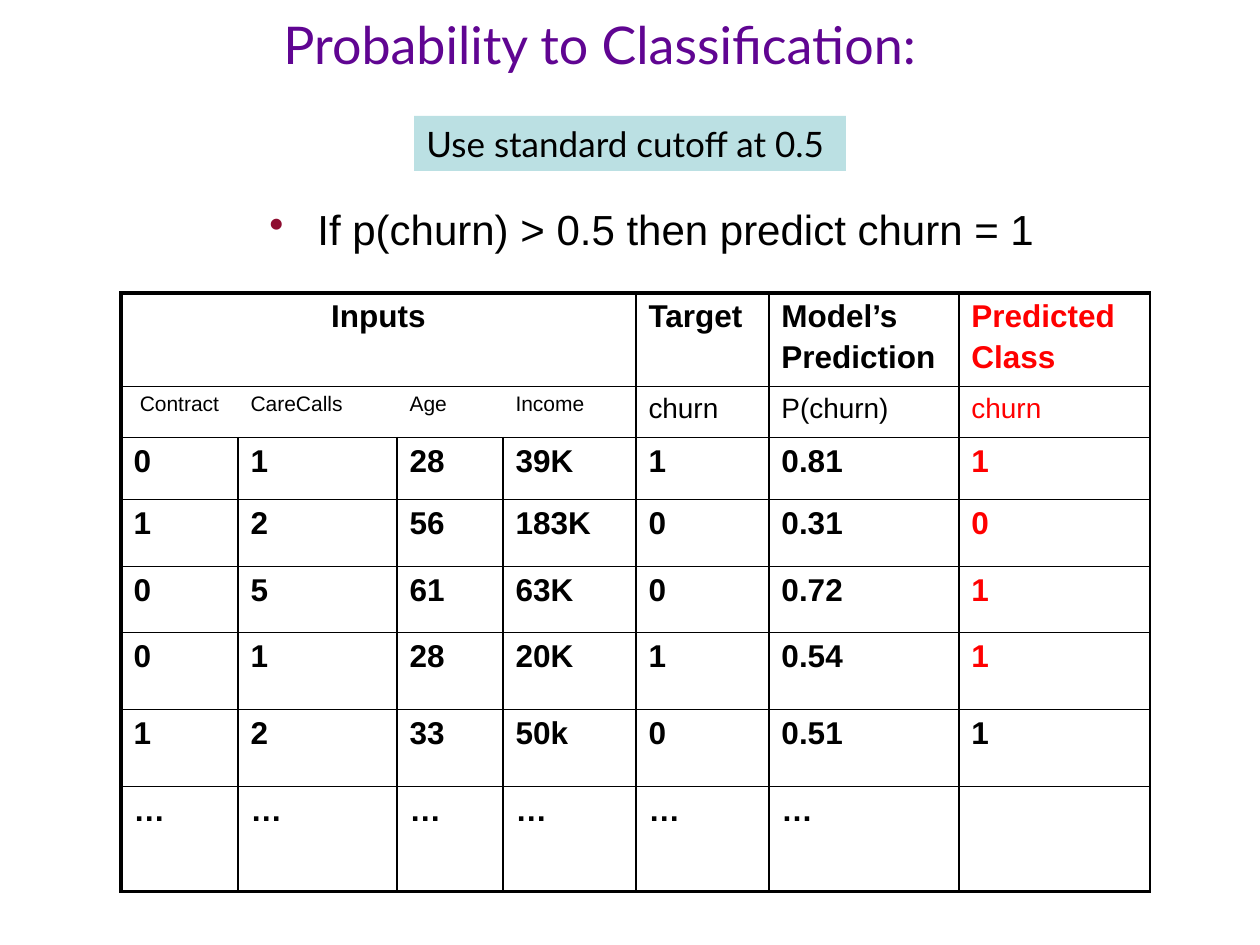
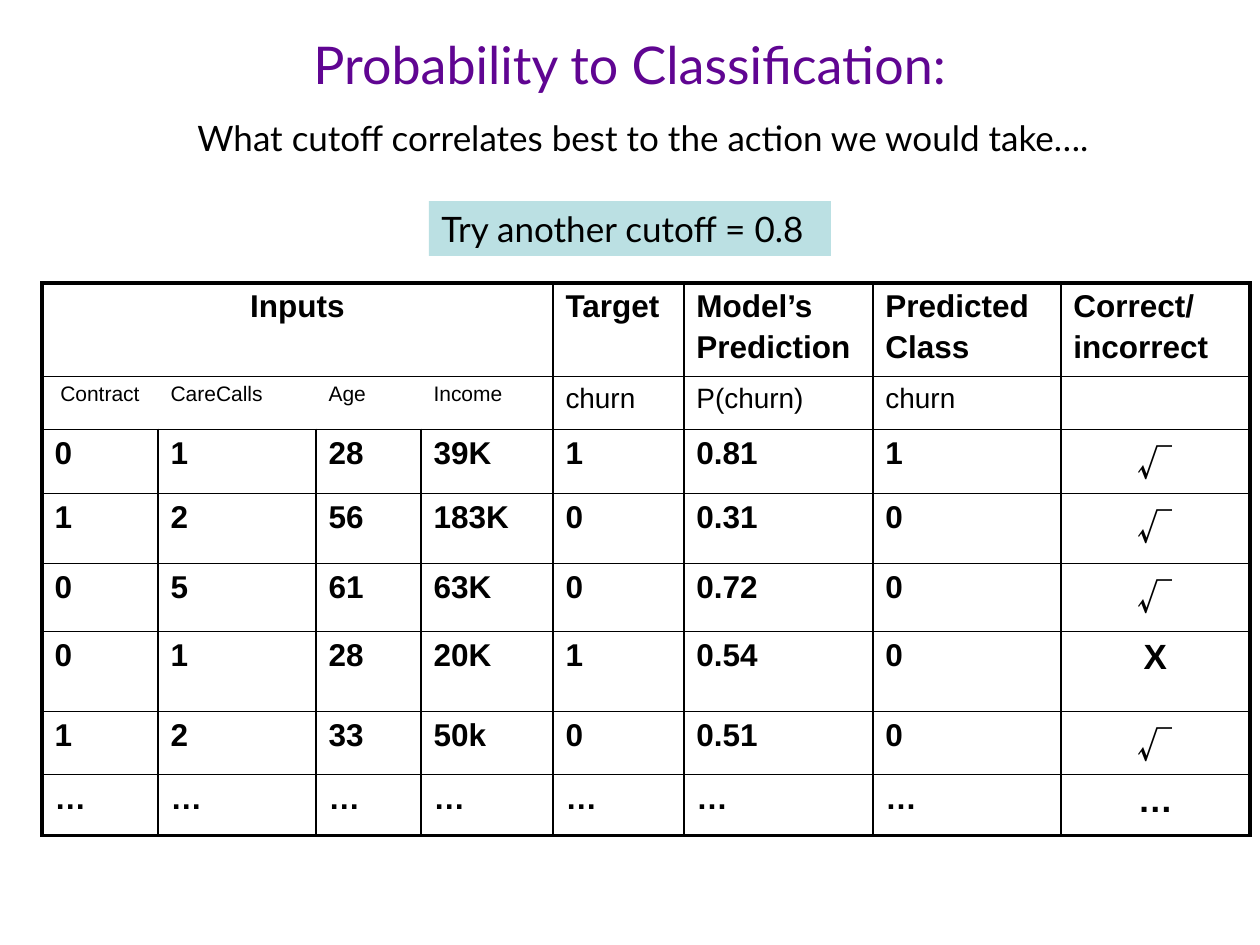
from lxml.etree import SubElement
from pptx import Presentation
from pptx.dml.color import RGBColor
from pptx.enum.shapes import MSO_SHAPE
from pptx.enum.text import MSO_ANCHOR, PP_ALIGN
from pptx.oxml.ns import qn
from pptx.util import Emu, Pt

# Shared look
BLACK = RGBColor(0x00, 0x00, 0x00)
RED = RGBColor(0xFF, 0x00, 0x00)
PURPLE = RGBColor(0x60, 0x05, 0x92)
WINE = RGBColor(0x8E, 0x0D, 0x30)
AQUA = RGBColor(0xBB, 0xE0, 0xE3)
HEAD, BODY, TICK = "Lato", "Arial", "Noto Sans CJK SC"
THIN, THICK = 1, 2.25
NO_STYLE = "{2D5ABB26-0587-4C30-8999-92F81FD0307C}"

# Content
TITLE = "Probability to Classification:"
TOP = ["Inputs", "", "", "", "Target", "Model’s\nPrediction", "Predicted\nClass"]
SUB = ["Contract", "CareCalls", "Age", "Income", "churn", "P(churn)", "churn"]
CASES = [
    ["0", "1", "28", "39K", "1", "0.81"],
    ["1", "2", "56", "183K", "0", "0.31"],
    ["0", "5", "61", "63K", "0", "0.72"],
    ["0", "1", "28", "20K", "1", "0.54"],
    ["1", "2", "33", "50k", "0", "0.51"],
    ["…"] * 6,
]
INPUTS, CLASS, MARK = 4, 6, 7  # number of inputs, then column places

SLIDES = [
    dict(
        title=(33, 0, 1134, 87),
        cutoff=("Use standard cutoff at 0.5", (414, 116, 432, 55)),
        rule=("If p(churn) > 0.5 then predict churn = 1", (257, 203, 983, 80)),
        spot=(121, 293),
        cols=[117, 159, 106, 133, 133, 190, 191],
        rows=[90, 51, 62, 67, 66, 77, 77, 105],
        extra=[["1"], ["0"], ["1"], ["1"], ["1"], [""]],
        heads=([], []),
        red=range(6),
        right=THIN,
    ),
    dict(
        title=(63, 20, 1134, 87),
        cutoff=("Try another cutoff = 0.8", (429, 201, 402, 55)),
        ask=("What cutoff correlates best to the action we would take….",
             (185, 110, 932, 55)),
        spot=(42, 283),
        cols=[116, 158, 105, 132, 131, 189, 188, 189],
        rows=[91, 53, 64, 70, 68, 80, 63, 61],
        extra=[["1", "√"], ["0", "√"], ["0", "√"], ["0", "X"], ["0", "√"],
               ["…", "…"]],
        heads=(["Correct/\nincorrect"], [""]),
        red=(),
        right=THICK,
    ),
]


def px(n):
    return Emu(round(n * 914400 / 126))


def style(para, size, name=BODY, color=BLACK, bold=False, align=PP_ALIGN.LEFT):
    para.alignment = align
    font = para.font
    font.size, font.name, font.bold = Pt(size), name, bold
    font.color.rgb = color


def add_text(slide, text, box, size, fill=None, **look):
    box = [px(n) for n in box]
    if fill is None:
        shape = slide.shapes.add_textbox(*box)
    else:
        shape = slide.shapes.add_shape(MSO_SHAPE.RECTANGLE, *box)
        shape.shadow.inherit = False
        shape.fill.solid()
        shape.fill.fore_color.rgb = fill
        shape.line.fill.background()
    frame = shape.text_frame
    frame.word_wrap = True
    frame.vertical_anchor = MSO_ANCHOR.TOP
    frame.text = text
    style(frame.paragraphs[0], size, **look)
    return frame


def add_rule(slide, text, box):
    """Bulleted line with a hanging indent."""
    frame = add_text(slide, "", box, 24)
    para = frame.paragraphs[0]
    para.text = text
    para.line_spacing = 0.9
    props = para._p.get_or_add_pPr()
    props.set("marL", str(px(48)))
    props.set("indent", str(-px(48)))
    font = props.find(qn("a:defRPr"))
    tint = SubElement(props, qn("a:buClr"))
    SubElement(tint, qn("a:srgbClr")).set("val", str(WINE))
    SubElement(props, qn("a:buChar")).set("char", "•")
    props.append(font)


def edge(cell, **widths):
    props = cell._tc.get_or_add_tcPr()
    for side, width in widths.items():
        if width:
            line = SubElement(props, qn(f"a:ln{side}"))
            line.set("w", str(Pt(width)))
            fill = SubElement(line, qn("a:solidFill"))
            SubElement(fill, qn("a:srgbClr")).set("val", str(BLACK))


def cell_look(r, c, text, red):
    look = dict(size=18, bold=r != 1)
    if r == 1:
        look["size"] = 12 if c < INPUTS else 16
    if c == CLASS and r in red:
        look["color"] = RED
    if c == MARK and r > 1:
        look.update(size=20, name=TICK if text == "√" else BODY)
    if (c == 0 and r < 2) or (c == MARK and r > 1):
        look["align"] = PP_ALIGN.CENTER
    return look


def add_grid(slide, spec):
    top, sub = spec["heads"]
    data = [TOP + top, SUB + sub]
    data += [case + more for case, more in zip(CASES, spec["extra"])]
    cols, rows = spec["cols"], spec["rows"]
    size = [px(n) for n in (*spec["spot"], sum(cols), sum(rows))]
    table = slide.shapes.add_table(len(rows), len(cols), *size).table
    table._tbl.tblPr.find(qn("a:tableStyleId")).text = NO_STYLE
    for col, width in zip(table.columns, cols):
        col.width = px(width)
    for row, height in zip(table.rows, rows):
        row.height = px(height)
    table.cell(0, 0).merge(table.cell(0, INPUTS - 1))

    last_r, last_c = len(rows) - 1, len(cols) - 1
    for r, line in enumerate(data):
        for c, text in enumerate(line):
            cell = table.cell(r, c)
            # The two heading rows have no lines between the inputs
            left = 0 if r < 2 and 0 < c < INPUTS else THIN
            right = 0 if r < 2 and c < INPUTS - 1 else THIN
            if cell.is_merge_origin:
                right = THIN
            edge(
                cell,
                L=THICK if c == 0 else left,
                R=spec["right"] if c == last_c else right,
                T=THICK if r == 0 else THIN,
                B=THICK if r == last_r else THIN,
            )
            cell.fill.background()
            cell.text = text
            for i, para in enumerate(cell.text_frame.paragraphs):
                if i:
                    para.space_before = Pt(3)
                style(para, **cell_look(r, c, text, spec["red"]))


def main():
    deck = Presentation()
    deck.slide_width, deck.slide_height = px(1260), px(945)
    for spec in SLIDES:
        slide = deck.slides.add_slide(deck.slide_layouts[6])
        title = add_text(slide, TITLE, spec["title"], 29.7, name=HEAD,
                         color=PURPLE, align=PP_ALIGN.CENTER)
        title.vertical_anchor = MSO_ANCHOR.MIDDLE
        add_grid(slide, spec)
        if "rule" in spec:
            add_rule(slide, *spec["rule"])
        add_text(slide, *spec["cutoff"], 20, fill=AQUA, name=HEAD)
        if "ask" in spec:
            add_text(slide, *spec["ask"], 20, name=HEAD)
    deck.save("out.pptx")


if __name__ == "__main__":
    main()
